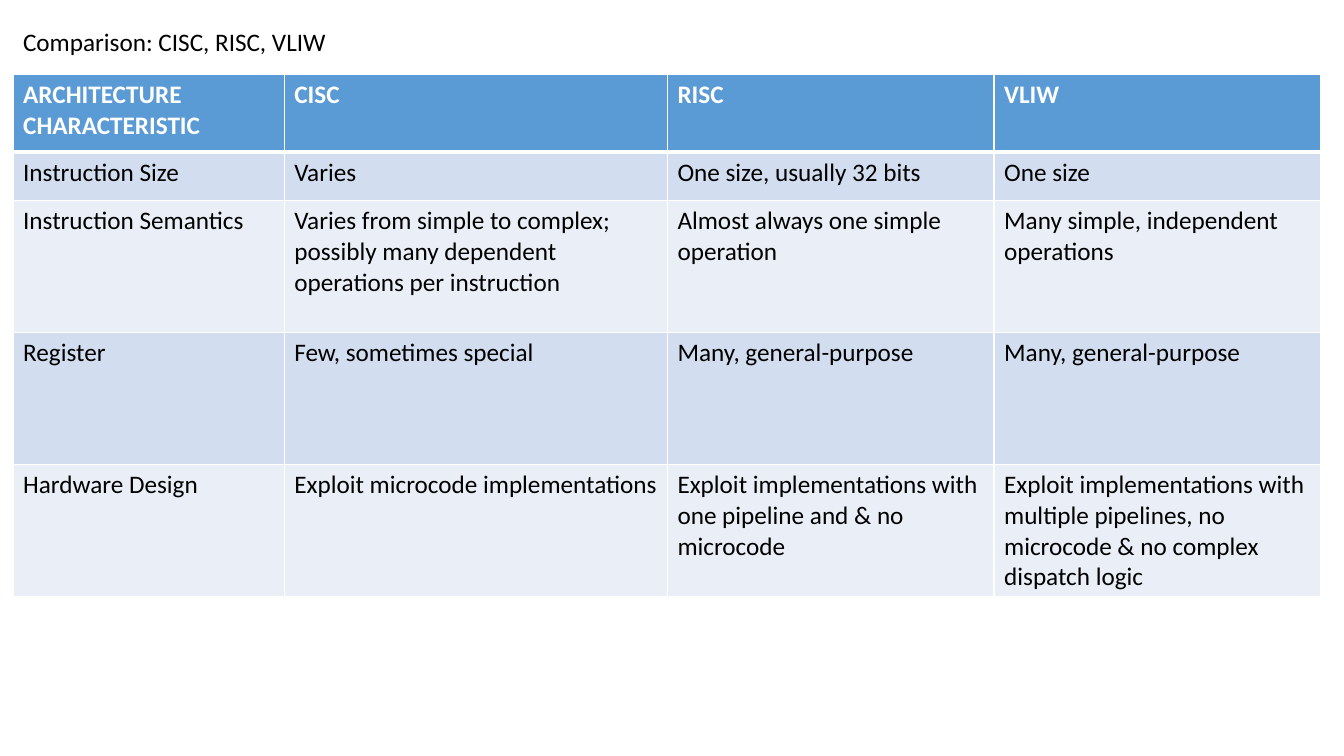
import pptx
import pptx.dml.color
import pptx.oxml.ns
import pptx.util
from lxml import etree

Inches = pptx.util.Inches
FONT = "Calibri"
BLACK, WHITE = "000000", "FFFFFF"
HEADER_FILL = "5B9BD5"
BAND_FILLS = ["EAEFF7", "D2DEEF"]
COLUMN_WIDTHS = [2.69, 3.8, 3.24, 3.24]
ROW_HEIGHTS = [0.77, 0.48, 1.31, 1.31, 1.31]
COMPARISON = [
    ["ARCHITECTURE CHARACTERISTIC", "CISC", "RISC", "VLIW"],
    ["Instruction Size", "Varies", "One size, usually 32 bits", "One size"],
    ["Instruction Semantics",
     "Varies from simple to complex; possibly many dependent operations per instruction",
     "Almost always one simple operation",
     "Many simple, independent operations"],
    ["Register", "Few, sometimes special", "Many, general-purpose", "Many, general-purpose"],
    ["Hardware Design",
     "Exploit microcode implementations",
     "Exploit implementations with one pipeline and & no microcode",
     "Exploit implementations with multiple pipelines, no microcode & no complex dispatch logic"],
]


def color(value):
    """Turn a hex string into a colour."""
    return pptx.dml.color.RGBColor.from_string(value)


def write(frame, text, shade, bold=False):
    """Put formatted text into a text frame."""
    frame.text = text
    for para in frame.paragraphs:
        for span in para.runs:
            span.font.name = FONT
            span.font.size = pptx.util.Pt(18)
            span.font.bold = bold
            span.font.color.rgb = color(shade)


def add_border(cell, side, points):
    """Draw one white edge of a cell."""
    qn = pptx.oxml.ns.qn
    properties = cell._tc.get_or_add_tcPr()
    line = etree.SubElement(properties, qn("a:" + side), w=str(pptx.util.Pt(points)))
    fill = etree.SubElement(line, qn("a:solidFill"))
    etree.SubElement(fill, qn("a:srgbClr"), val=WHITE)


def add_title(page, left, top, width, height):
    """Place the title line."""
    box = page.shapes.add_textbox(Inches(left), Inches(top), Inches(width), Inches(height))
    box.text_frame.word_wrap = True
    write(box.text_frame, "Comparison: CISC, RISC, VLIW", BLACK)


def add_comparison(page, left, top):
    """Place the banded comparison table."""
    table = page.shapes.add_table(
        len(ROW_HEIGHTS), len(COLUMN_WIDTHS), Inches(left), Inches(top),
        Inches(sum(COLUMN_WIDTHS)), Inches(sum(ROW_HEIGHTS))).table
    for column, width in zip(table.columns, COLUMN_WIDTHS):
        column.width = Inches(width)
    for index, (row, height, texts) in enumerate(zip(table.rows, ROW_HEIGHTS, COMPARISON)):
        row.height = Inches(height)
        header = index == 0
        edges = {"lnL": 1, "lnR": 1, "lnT": 3 if index == 1 else 1, "lnB": 3 if header else 1}
        for cell, text in zip(row.cells, texts):
            for side, points in edges.items():
                add_border(cell, side, points)
            cell.fill.solid()
            cell.fill.fore_color.rgb = color(HEADER_FILL if header else BAND_FILLS[index % 2])
            write(cell.text_frame, text, WHITE if header else BLACK, header)


deck = pptx.Presentation()
deck.slide_width, deck.slide_height = Inches(13.33), Inches(7.5)
page = deck.slides.add_slide(deck.slide_layouts[6])
add_title(page, 0.13, 0.21, 3.25, 0.4)
add_comparison(page, 0.13, 0.74)
deck.save("out.pptx")
